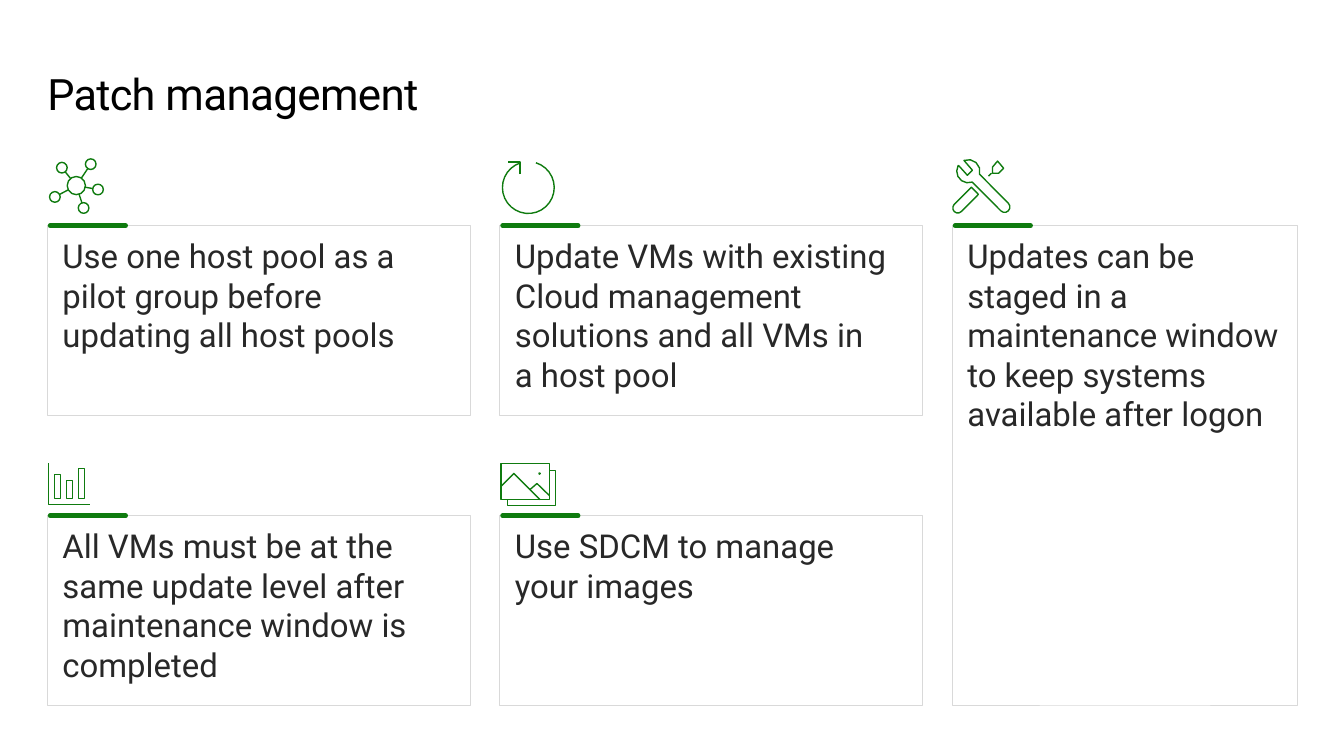
from math import atan2, cos, hypot, radians, sin

from pptx import Presentation
from pptx.dml.color import RGBColor
from pptx.enum.shapes import MSO_CONNECTOR as Link, MSO_SHAPE as Shape
from pptx.enum.text import MSO_ANCHOR as Anchor, PP_ALIGN as Align
from pptx.oxml.xmlchemy import OxmlElement as Node
from pptx.util import Pt

GREEN = RGBColor(0x0F, 0x7B, 0x0F)
GRAY = RGBColor(0xD9, 0xD9, 0xD9)
DARK = RGBColor(0x28, 0x28, 0x28)
BLACK = RGBColor(0, 0, 0)
FONT = "Roboto"


# Icons: lists of (points, closed), in points from the card's top left corner
def arc(x, y, r, start=0, end=360):
    step = 12 if r > 10 else 30
    count = round(abs(end - start) / step)
    turns = [radians(start + (end - start) * i / count) for i in range(count + 1)]
    return [(x + r * cos(t), y + r * sin(t)) for t in turns]


def ring(x, y, r):
    return arc(x, y, r)[:-1], True


def hub_icon():
    x, y, big, small = 20.7, -28.6, 6.5, 3.8
    parts = [ring(x, y, big)]
    for u, v in [(31, -43.9), (10.4, -41.4), (5.4, -20.5), (25.9, -12.6), (36.2, -25.8)]:
        turn, size = atan2(v - y, u - x), hypot(u - x, v - y)
        spoke = [(x + r * cos(turn), y + r * sin(turn)) for r in (big, size - small)]
        parts += [ring(u, v, small), (spoke, False)]
    return parts


def cycle_icon():
    return [(arc(20.4, -27.2, 18.5, -73, 252), False),
            ([(14.4, -36.7), (14.4, -45.4), (5.8, -45.4)], False)]


def chart_icon():
    parts = [([(0.7, -37.4), (0.7, -7.9), (30.2, -7.9)], False)]
    for i, top in enumerate([-29.5, -25.2, -33.8]):
        x = 5 + 8.65 * i
        parts.append(([(x, -12.2), (x, top), (x + 4.3, top), (x + 4.3, -12.2)], True))
    return parts


def photo_icon():
    return [([(0.9, -37.2), (35.5, -37.2), (35.5, -11.5), (0.9, -11.5)], True),
            ([(27.9, -30.2), (28.4, -30.7), (28.9, -30.2), (28.4, -29.7)], True),
            ([(28.8, -11.5), (10.1, -30.2), (0.9, -20.9)], False),
            ([(35.5, -14.4), (26.6, -23), (21.6, -18.7)], False),
            ([(5.6, -11.5), (5.6, -7.4), (39.8, -7.4), (39.8, -32.4), (35.5, -32.4)], False)]


def driver_icon():
    return [(arc(4, -12.6, 3.6, 225, 45) + [(18.7, -22.3), (13.7, -27.4)], True),
            ([(36.7, -41), (32.4, -46.1), (28.8, -41.8), (28.8, -37.4), (33.1, -37.4)], True),
            ([(28.1, -37.4), (25.9, -35.3)], False)]


def wrench_icon():
    head = 11.5, -38.9, 8.3
    jaw = [(14.4, -39.6), (10.8, -36), (5, -42.5)]
    return [(arc(*head, 15, -112) + jaw + arc(*head, 209, 70)
             + arc(37.4, -13.3, 3.8, 135, -45), True)]


def draw_icon(slide, left, top, parts):
    pen = None
    for points, closed in parts:
        spots = [(Pt(left + x), Pt(top + y)) for x, y in points]
        if pen is None:
            pen = slide.shapes.build_freeform(*spots[0], scale=1.0)
        else:
            pen.move_to(*spots[0])
        pen.add_line_segments(spots[1:], close=closed)
    icon = pen.convert_to_shape()
    icon.shadow.inherit = False
    icon.fill.background()
    icon.line.color.rgb = GREEN
    icon.line.width = Pt(1)


# Title line
def add_title(slide, left, top, width, height):
    box = slide.shapes.add_textbox(Pt(left), Pt(top), Pt(width), Pt(height))
    frame = box.text_frame
    frame.word_wrap = True
    frame.vertical_anchor = Anchor.MIDDLE
    frame.margin_left = frame.margin_top = frame.margin_bottom = 0
    frame.margin_right = Pt(13)
    para = frame.paragraphs[0]
    para.font.name = FONT
    para.font.color.rgb = BLACK
    for text, size in [("Patch ", 30.9), ("management", 31.4)]:
        run = para.add_run()
        run.text = text
        run.font.size = Pt(size)
        run._r.get_or_add_rPr().set("spc", "-50")


# Card: framed text, green bar on its top edge, icon above
def add_card(slide, left, top, width, height, text, icons):
    for icon in icons:
        draw_icon(slide, left, top, icon())

    card = slide.shapes.add_shape(Shape.RECTANGLE, Pt(left), Pt(top), Pt(width), Pt(height))
    card.shadow.inherit = False
    card.fill.background()
    card.line.color.rgb = GRAY
    card.line.width = Pt(0.5)
    frame = card.text_frame
    frame.word_wrap = True
    frame.vertical_anchor = Anchor.TOP
    frame.margin_left = frame.margin_right = Pt(10.8)
    frame.margin_top = frame.margin_bottom = Pt(7.2)
    para = frame.paragraphs[0]
    para.text = text
    para.alignment = Align.LEFT
    para.font.name = FONT
    para.font.size = Pt(23.5)
    para.font.color.rgb = DARK

    bar = slide.shapes.add_connector(
        Link.STRAIGHT, Pt(left + 2), Pt(top), Pt(left + 56), Pt(top))
    bar.line.color.rgb = GREEN
    bar.line.width = Pt(3.25)
    bar.line._get_or_add_ln().set("cap", "rnd")
    bar._element.spPr.append(Node("a:effectLst"))


# Cards on a grid of two wide columns and one tall side column
def add_cards(slide, left, top, width, height):
    wide, tall, gap = 302.2, 135.2, 21
    step, drop = wide + gap, height - tall
    cards = [
        (0, 0, "Use one host pool as a pilot group before updating all host pools", [hub_icon]),
        (1, 0, "Update VMs with existing Cloud management solutions and all VMs in\va host pool",
         [cycle_icon]),
        (0, 1, "All VMs must be at the same update level after maintenance window is completed",
         [chart_icon]),
        (1, 1, "Use SDCM to manage\vyour images", [photo_icon]),
    ]
    for col, row, text, icons in cards:
        add_card(slide, left + col * step, top + row * drop, wide, tall, text, icons)
    add_card(slide, left + 2 * step, top, width - 2 * step, height,
             "Updates can be staged in a maintenance window to keep systems "
             "available after logon", [driver_icon, wrench_icon])


def main():
    deck = Presentation()
    deck.slide_width, deck.slide_height = Pt(960), Pt(540)
    slide = deck.slides.add_slide(deck.slide_layouts[6])
    add_title(slide, 33.8, 36.5, 893, 60)
    add_cards(slide, 33.8, 161.2, 893, 342.4)
    deck.save("out.pptx")


if __name__ == "__main__":
    main()
